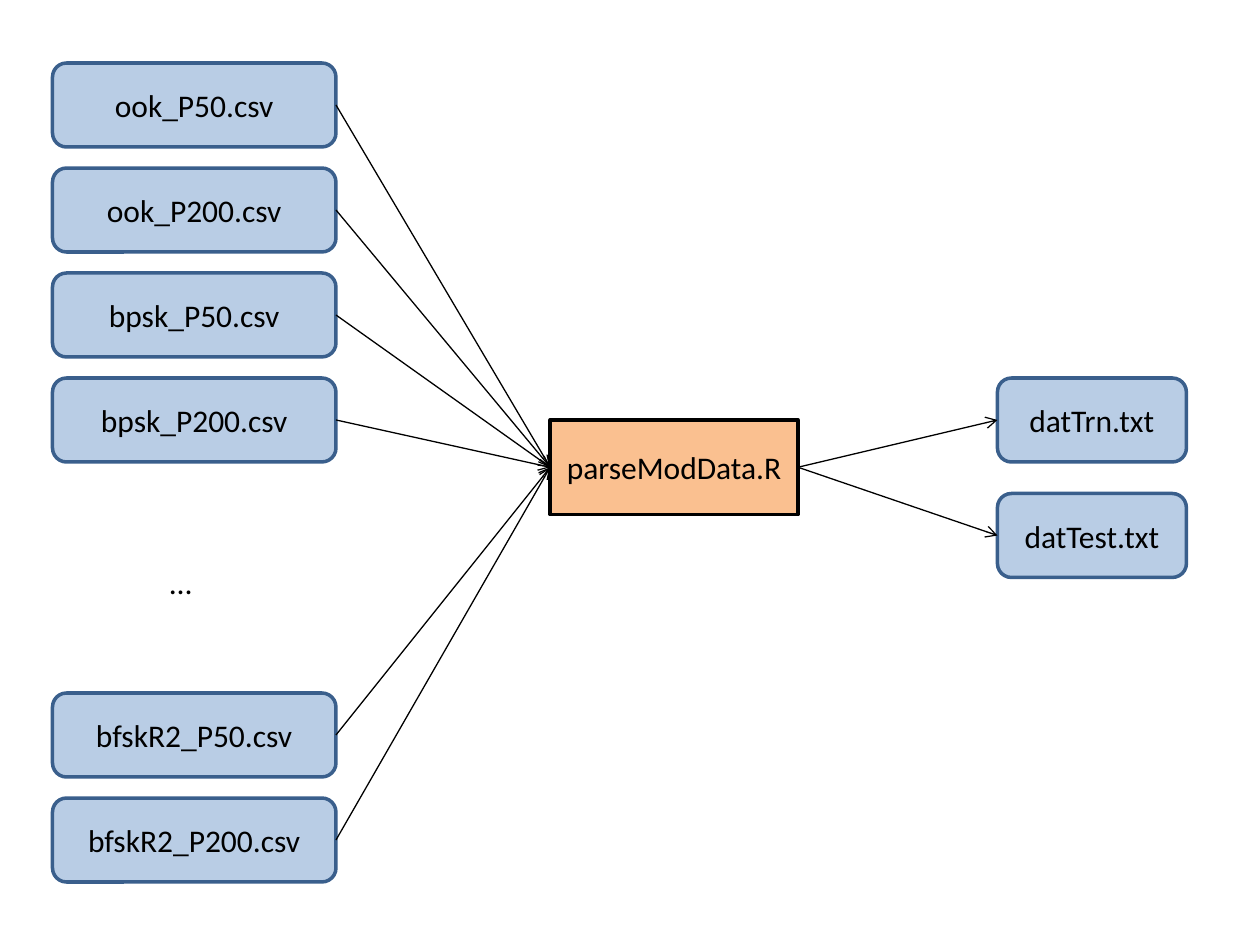
from lxml.etree import SubElement
from pptx import Presentation
from pptx.dml.color import RGBColor
from pptx.enum.shapes import MSO_CONNECTOR as Connector, MSO_SHAPE as Shape
from pptx.enum.text import MSO_ANCHOR as Anchor, MSO_AUTO_SIZE as AutoSize, PP_ALIGN as Align
from pptx.oxml.ns import qn
from pptx.util import Pt

PX = 7620  # EMU, 120 px to the inch
TOP, LEFT, BOTTOM, RIGHT = range(4)
BLACK = "000000"
FILE_STYLE = (Shape.FLOWCHART_ALTERNATE_PROCESS, "B9CDE5", "3A5F8C")
SCRIPT_STYLE = (Shape.RECTANGLE, "FAC090", BLACK)
FILE_HEIGHT = 80

INPUT_ROWS = {
    0: "ook_P50.csv",
    1: "ook_P200.csv",
    2: "bpsk_P50.csv",
    3: "bpsk_P200.csv",
    6: "bfskR2_P50.csv",
    7: "bfskR2_P200.csv",
}
OUTPUTS = ["datTrn.txt", "datTest.txt"]


def px(*lengths):
    return [length * PX for length in lengths]


def color(hex_code):
    return RGBColor.from_string(hex_code)


def write(frame, text, align):
    frame.text = text
    paragraph = frame.paragraphs[0]
    paragraph.alignment = align
    paragraph.font.size = Pt(18)
    paragraph.font.name = "Calibri"
    paragraph.font.color.rgb = color(BLACK)


def add_node(slide, box, text, style):
    preset, fill, outline = style
    node = slide.shapes.add_shape(preset, *px(*box))
    node.shadow.inherit = False
    node.fill.solid()
    node.fill.fore_color.rgb = color(fill)
    node.line.color.rgb = color(outline)
    node.line.width = Pt(2)
    node.text_frame.vertical_anchor = Anchor.MIDDLE
    write(node.text_frame, text, Align.CENTER)
    return node


def add_arrow(slide, source, target):
    """Join the right side of source to the left side of target."""
    arrow = slide.shapes.add_connector(Connector.STRAIGHT, 0, 0, 0, 0)
    arrow.begin_connect(source, RIGHT)
    arrow.end_connect(target, LEFT)
    arrow.line.color.rgb = color(BLACK)
    arrow.line.width = Pt(0.75)
    SubElement(arrow.line._get_or_add_ln(), qn("a:tailEnd"), type="arrow")
    SubElement(arrow._element.spPr, qn("a:effectLst"))


def add_ellipsis(slide, box):
    ellipsis = slide.shapes.add_textbox(*px(*box))
    frame = ellipsis.text_frame
    frame.word_wrap = False
    frame.auto_size = AutoSize.SHAPE_TO_FIT_TEXT
    write(frame, "…", Align.LEFT)


def add_inputs(slide, box):
    """Stack the input files in eight equal rows, with an ellipsis in the gap."""
    left, top, width, height = box
    pitch = (height - FILE_HEIGHT) // max(INPUT_ROWS)
    add_ellipsis(slide, (left + 100, top + 470, 46, 48))
    return [
        add_node(slide, (left, top + row * pitch, width, FILE_HEIGHT), name, FILE_STYLE)
        for row, name in INPUT_ROWS.items()
    ]


def add_outputs(slide, box):
    left, top, width, height = box
    pitch = (height - FILE_HEIGHT) // (len(OUTPUTS) - 1)
    return [
        add_node(slide, (left, top + row * pitch, width, FILE_HEIGHT), name, FILE_STYLE)
        for row, name in enumerate(OUTPUTS)
    ]


def main():
    prs = Presentation()
    prs.slide_width, prs.slide_height = px(1200, 900)
    slide = prs.slides.add_slide(prs.slide_layouts[6])

    inputs = add_inputs(slide, (50, 60, 270, 780))
    parser = add_node(slide, (524, 400, 236, 90), "parseModData.R", SCRIPT_STYLE)
    outputs = add_outputs(slide, (950, 360, 180, 190))

    for source in inputs:
        add_arrow(slide, source, parser)
    for target in outputs:
        add_arrow(slide, parser, target)

    prs.save("out.pptx")


if __name__ == "__main__":
    main()
